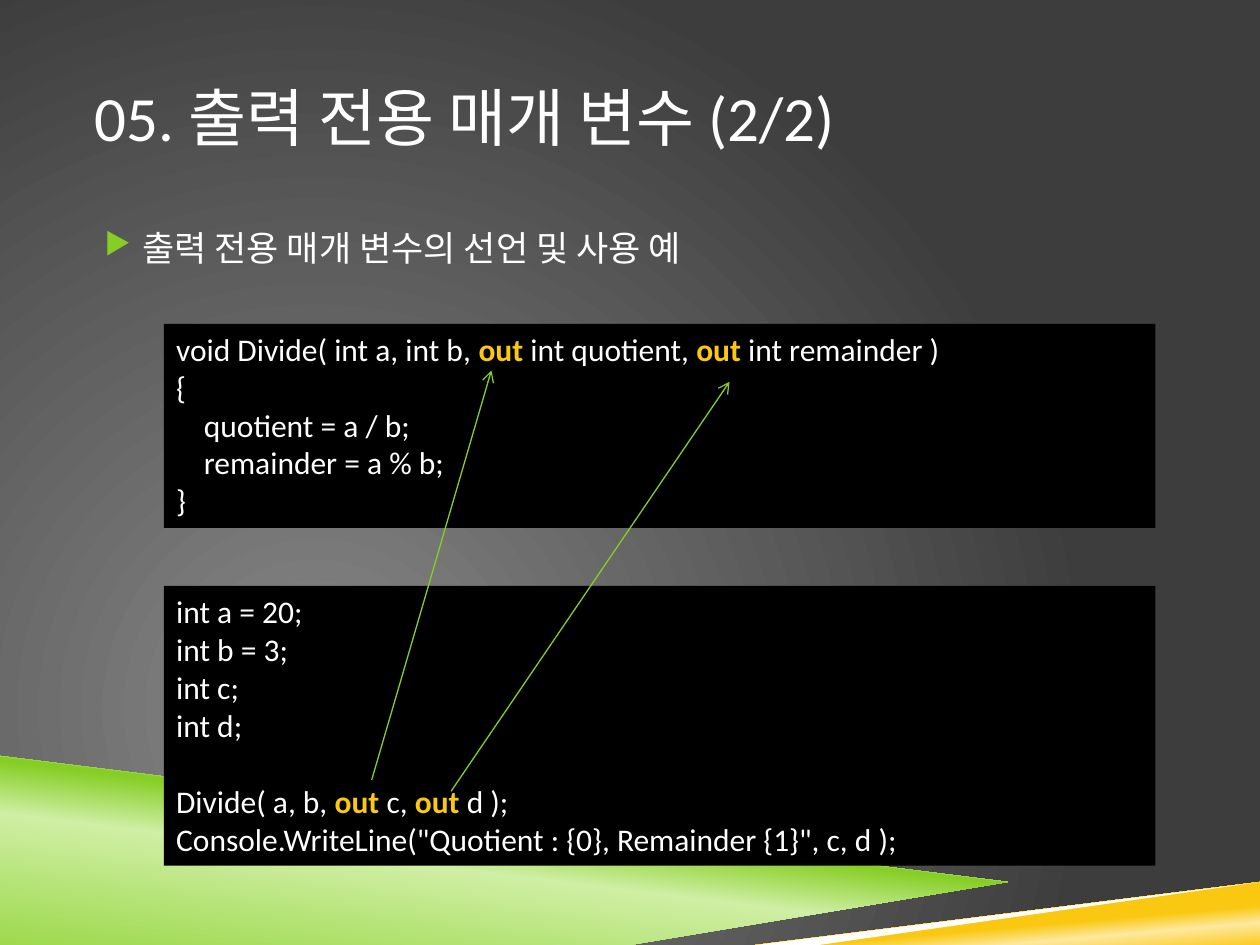
"""Build a slide on output parameters: two code panels linked by arrows."""
from lxml.etree import SubElement
from pptx import Presentation
from pptx.dml.color import RGBColor
from pptx.enum.shapes import MSO_CONNECTOR, MSO_SHAPE
from pptx.enum.text import MSO_ANCHOR, PP_ALIGN
from pptx.oxml import parse_xml
from pptx.oxml.ns import nsdecls, qn
from pptx.util import Inches, Pt

WHITE, BLACK, GREEN, YELLOW = "FFFFFF", "000000", "86CE24", "FAC810"
color = RGBColor.from_string


def set_gradient(fill, owner, stops, direction):
    fill.gradient()
    default = next(owner.element.iter(qn("a:gradFill")))
    stop_xml = "".join(
        f'<a:gs pos="{share * 1000}"><a:srgbClr val="{tone}"/></a:gs>'
        for share, tone in stops)
    default.getparent().replace(default, parse_xml(
        f'<a:gradFill {nsdecls("a")} rotWithShape="1">'
        f"<a:gsLst>{stop_xml}</a:gsLst>{direction}</a:gradFill>"))


def style(paragraph, size):
    paragraph.alignment = PP_ALIGN.LEFT
    paragraph.font.name = "Calibri"
    paragraph.font.size = Pt(size)
    paragraph.font.color.rgb = color(WHITE)


deck = Presentation()
deck.slide_width, deck.slide_height = Inches(10), Inches(7.5)
slide = deck.slides.add_slide(deck.slide_layouts[6])
set_gradient(slide.background.fill, slide, [(0, "878787"), (100, "3D3D3D")],
             '<a:path path="circle"><a:fillToRect l="50000" t="100000" '
             'r="100000" b="50000"/></a:path>')

bands = [
    ([(0, 5.97), (7.92, 6.92), (2, 7.5), (0, 7.5)],
     [(0, GREEN), (52, "CFEFA4"), (66, GREEN)], 277),
    ([(1.98, 7.5), (10, 6.72), (10, 7.5)],
     [(28, YELLOW), (40, "FDE99F"), (48, YELLOW)], 265),
    ([(0, 5.92), (0, 6), (7.9, 6.93), (8.32, 6.9)], None, None),
    ([(10, 6.69), (1.84, 7.5), (2.66, 7.5), (10, 6.77)], None, None),
]
for corners, stops, angle in bands:
    outline = slide.shapes.build_freeform(*corners[0], scale=Inches(1))
    outline.add_line_segments(corners[1:], close=True)
    band = outline.convert_to_shape()
    band.shadow.inherit = False
    band.line.fill.background()
    if stops:
        set_gradient(band.fill, band, stops,
                     f'<a:lin ang="{angle * 60000}" scaled="0"/>')
    else:
        band.fill.solid()
        band.fill.fore_color.rgb = color(WHITE)

headings = [
    ("05. 출력 전용 매개 변수 (2/2)", 0.3, 1.25, 36, MSO_ANCHOR.MIDDLE),
    ("출력 전용 매개 변수의 선언 및 사용 예", 1.75, 4.52, 20, MSO_ANCHOR.TOP),
]
for wording, top, height, size, anchor in headings:
    heading = slide.shapes.add_textbox(
        Inches(0.75), Inches(top), Inches(8.5), Inches(height)).text_frame
    heading.word_wrap = True
    heading.vertical_anchor = anchor
    heading.margin_left = heading.margin_right = 0
    heading.text = wording
    style(heading.paragraphs[0], size)

topic = heading.paragraphs[0]
topic.space_before = Pt(7)
topic_format = topic._p.get_or_add_pPr()
topic_format.set("marL", str(Inches(0.38)))
topic_format.set("indent", str(Inches(-0.3)))
bullet_color = SubElement(topic_format, qn("a:buClr"))
SubElement(bullet_color, qn("a:srgbClr"), val=GREEN)
SubElement(topic_format, qn("a:buSzPct"), val="85000")
SubElement(topic_format, qn("a:buChar"), char="▶")

KEYWORD = "out "
LINE_HEIGHT = Pt(22)
listings = [
    (2.57, 1.62, [
        "void Divide( int a, int b, out int quotient, out int remainder )",
        "{", "\tquotient = a / b;", "\tremainder = a % b;", "}"]),
    (4.65, 2.22, [
        "int a = 20;", "int b = 3;", "int c;", "int d;",
        "\nDivide( a, b, out c, out d );",
        'Console.WriteLine("Quotient : {0}, Remainder {1}", c, d );']),
]
for top, height, code_lines in listings:
    panel = slide.shapes.add_shape(MSO_SHAPE.RECTANGLE, Inches(1.3), Inches(top),
                                   Inches(7.87), Inches(height))
    panel.shadow.inherit = False
    panel.fill.solid()
    panel.fill.fore_color.rgb = color(BLACK)
    panel.line.fill.background()
    code = panel.text_frame
    code.word_wrap = True
    code.vertical_anchor = MSO_ANCHOR.TOP
    for row, code_line in enumerate(code_lines):
        statement = code.add_paragraph() if row else code.paragraphs[0]
        style(statement, 18)
        if code_line.startswith("\t"):
            statement._p.get_or_add_pPr().set("marL", str(Inches(0.22)))
        if code_line.startswith("\n"):
            statement.space_before = LINE_HEIGHT
        for part, wording in enumerate(code_line.strip().split(KEYWORD)):
            if part:
                keyword = statement.add_run()
                keyword.text = KEYWORD
                keyword.font.bold = True
                keyword.font.color.rgb = color(YELLOW)
            statement.add_run().text = wording

for start, end in [((2.95, 6.19), (3.9, 2.94)), ((3.58, 6.28), (5.79, 3.03))]:
    arrow = slide.shapes.add_connector(
        MSO_CONNECTOR.STRAIGHT, *map(Inches, start + end))
    arrow.line.color.rgb = color(GREEN)
    arrow.line.width = Pt(0.75)
    SubElement(arrow.line._get_or_add_ln(), qn("a:tailEnd"), type="arrow")
    SubElement(arrow.element.spPr, qn("a:effectLst"))

deck.save("out.pptx")
